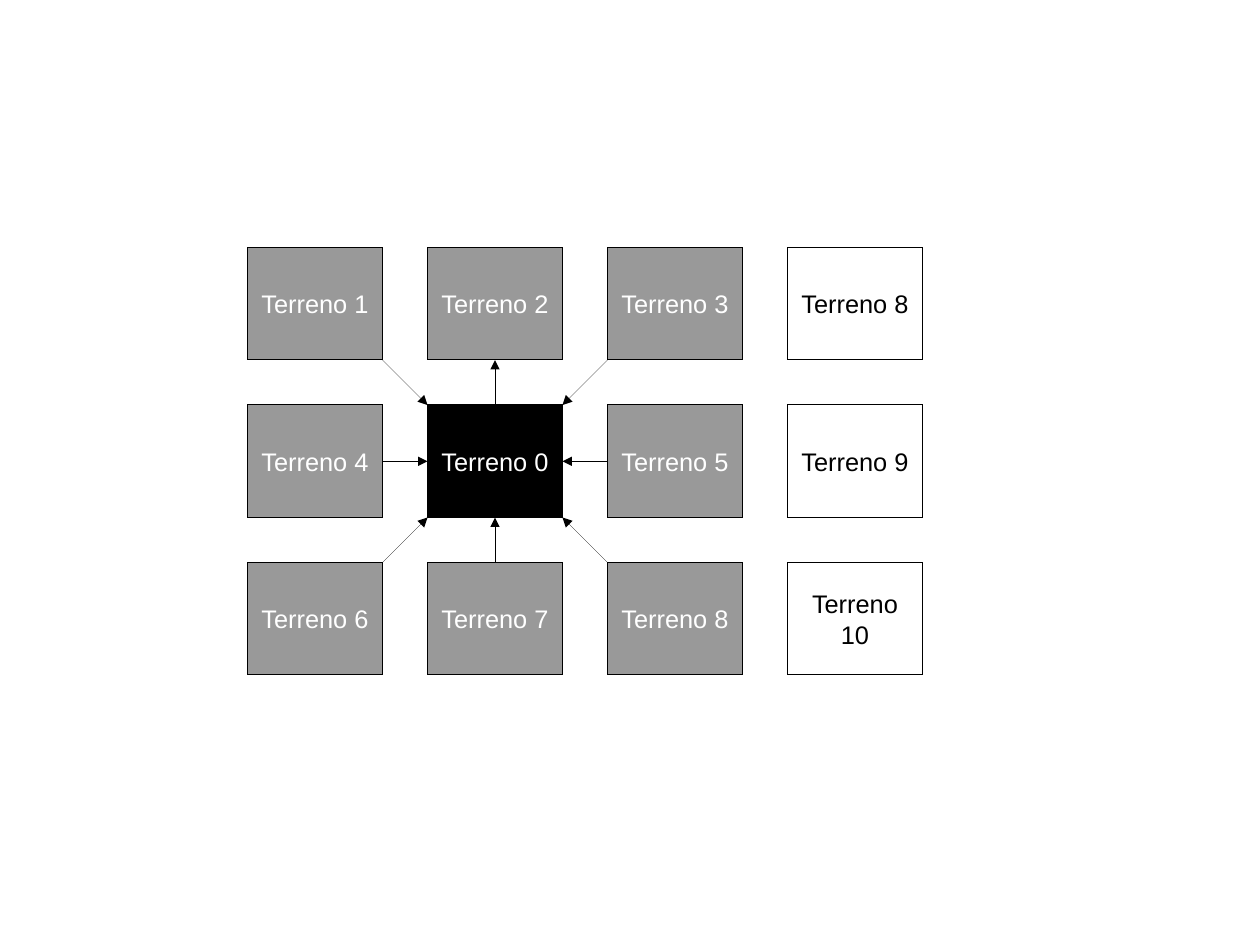
"""Build a slide with a grid of plots and arrows around the central plot."""
from lxml import etree
from pptx import Presentation
from pptx.dml.color import RGBColor
from pptx.enum import shapes, text
from pptx.oxml import ns
from pptx.util import Cm, Pt

BLACK = RGBColor(0x00, 0x00, 0x00)
GREY = RGBColor(0x99, 0x99, 0x99)
WHITE = RGBColor(0xFF, 0xFF, 0xFF)

LEFT, TOP = 5.5, 5.5
WIDTH, HEIGHT, GAP = 3, 2.5, 1
CENTER_COLUMN, CENTER_ROW = 1, 1

GRID = [
    ["Terreno 1", "Terreno 2", "Terreno 3", "Terreno 8"],
    ["Terreno 4", "Terreno 0", "Terreno 5", "Terreno 9"],
    ["Terreno 6", "Terreno 7", "Terreno 8", "Terreno 10"],
]
NEIGHBOURS = [(dx, dy) for dy in (-1, 0, 1) for dx in (-1, 0, 1) if (dx, dy) != (0, 0)]
OUTGOING = (0, -1)
SITES = {(0, -1): 0, (-1, 0): 1, (0, 1): 2, (1, 0): 3}


def set_hairline(shape):
    shape.line.color.rgb = BLACK
    line = shape._element.spPr.find(ns.qn("a:ln"))
    line.set("w", "0")
    return line


presentation = Presentation()
presentation.slide_width = Cm(28)
presentation.slide_height = Cm(21)
slide = presentation.slides.add_slide(presentation.slide_layouts[6])

plots = {}
for row, names in enumerate(GRID):
    for column, name in enumerate(names):
        fill, ink = GREY, WHITE
        if (column, row) == (CENTER_COLUMN, CENTER_ROW):
            fill = BLACK
        elif column == 3:
            fill, ink = WHITE, BLACK
        plot = slide.shapes.add_shape(
            shapes.MSO_SHAPE.RECTANGLE,
            Cm(LEFT + column * (WIDTH + GAP)), Cm(TOP + row * (HEIGHT + GAP)),
            Cm(WIDTH), Cm(HEIGHT),
        )
        plot.shadow.inherit = False
        plot.fill.solid()
        plot.fill.fore_color.rgb = fill
        set_hairline(plot)
        frame = plot.text_frame
        frame.word_wrap = True
        frame.vertical_anchor = text.MSO_ANCHOR.MIDDLE
        paragraph = frame.paragraphs[0]
        paragraph.alignment = text.PP_ALIGN.CENTER
        run = paragraph.add_run()
        run.text = name
        for attribute, value in {"name": "Arial", "size": Pt(16)}.items():
            setattr(run.font, attribute, value)
        run.font.color.rgb = ink
        plots[column, row] = plot

center_x = LEFT + CENTER_COLUMN * (WIDTH + GAP) + WIDTH / 2
center_y = TOP + CENTER_ROW * (HEIGHT + GAP) + HEIGHT / 2
center = plots[CENTER_COLUMN, CENTER_ROW]

for dx, dy in NEIGHBOURS:
    neighbour = plots[CENTER_COLUMN + dx, CENTER_ROW + dy]
    inner = (center_x + dx * WIDTH / 2, center_y + dy * HEIGHT / 2)
    outer = (inner[0] + dx * GAP, inner[1] + dy * GAP)
    ends = [(neighbour, outer, (-dx, -dy)), (center, inner, (dx, dy))]
    if (dx, dy) == OUTGOING:
        ends.reverse()
    (source, start, start_side), (target, end, end_side) = ends
    arrow = slide.shapes.add_connector(
        shapes.MSO_CONNECTOR.STRAIGHT,
        Cm(start[0]), Cm(start[1]), Cm(end[0]), Cm(end[1]),
    )
    if start_side in SITES:
        arrow.begin_connect(source, SITES[start_side])
        arrow.end_connect(target, SITES[end_side])
    line = set_hairline(arrow)
    etree.SubElement(line, ns.qn("a:tailEnd"), type="triangle")
    etree.SubElement(arrow._element.spPr, ns.qn("a:effectLst"))

presentation.save("out.pptx")
